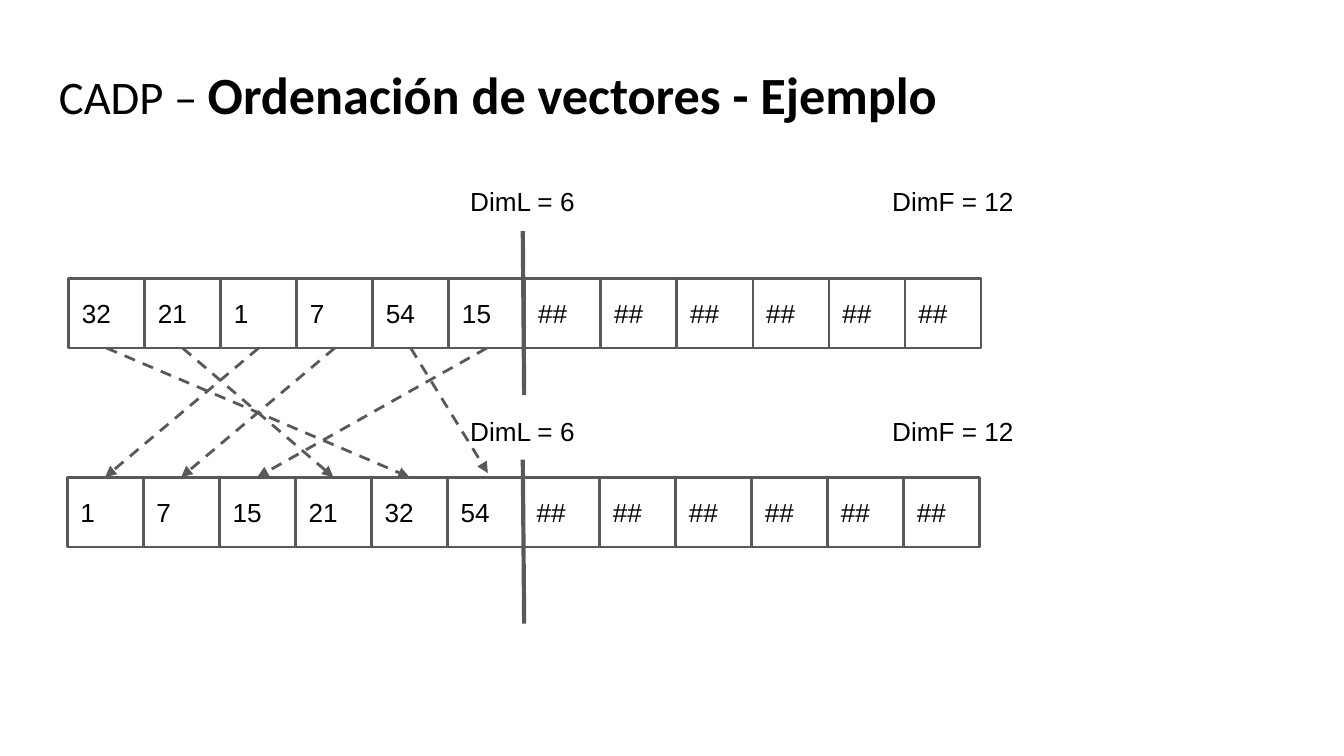
import pptx
import pptx.dml.color
import pptx.enum.dml
import pptx.enum.shapes
import pptx.enum.text
import pptx.oxml
import pptx.oxml.ns
import pptx.util

Inches = pptx.util.Inches
COLORS = {"text": "000000", "line": "595959"}
CELL_COUNT = 12
CELL_WIDTH = 6.79 / CELL_COUNT
CELL_HEIGHT = 0.52

deck = pptx.Presentation()
deck.slide_width = Inches(10)
deck.slide_height = Inches(10 * 9 / 16)
page = deck.slides.add_slide(deck.slide_layouts[6])


def write_text(shape, text, anchor):
    frame = shape.text_frame
    frame.word_wrap = True
    frame.vertical_anchor = anchor
    frame.margin_left = frame.margin_right = Inches(0.1)
    frame.margin_top = frame.margin_bottom = Inches(0.1)
    para = frame.paragraphs[0]
    para.text = text
    para.alignment = pptx.enum.text.PP_ALIGN.LEFT
    para.font.name = "Arial"
    para.font.size = pptx.util.Pt(14)
    para.font.color.rgb = pptx.dml.color.RGBColor.from_string(COLORS["text"])
    return para


def add_line(x1, y1, x2, y2, width):
    line = page.shapes.add_connector(
        pptx.enum.shapes.MSO_CONNECTOR.STRAIGHT,
        Inches(x1), Inches(y1), Inches(x2), Inches(y2))
    line.line.color.rgb = pptx.dml.color.RGBColor.from_string(COLORS["line"])
    line.line.width = pptx.util.Pt(width)
    line._element.spPr.append(pptx.oxml.parse_xml(
        f'<a:effectLst {pptx.oxml.ns.nsdecls("a")}/>'))
    return line


title = page.shapes.add_textbox(Inches(0.34), Inches(0.49), Inches(9.32), Inches(0.63))
para = write_text(title, "", pptx.enum.text.MSO_ANCHOR.TOP)
para.line_spacing = 0.7
para.font.name = "Calibri"
for text, size, bold in [("CADP – ", 25, False), ("Ordenación de vectores - Ejemplo", 28, True)]:
    span = para.add_run()
    span.text = text
    span.font.size = pptx.util.Pt(size)
    span.font.bold = bold

unsorted_values = [32, 21, 1, 7, 54, 15]
sorted_values = sorted(unsorted_values)
vectors = [
    (unsorted_values, 0.51, 2.07, 1.28, 1.72),
    (sorted_values, 0.5, 3.55, 2.99, 3.42),
]
cells = []
for values, left, top, label_top, divider_top in vectors:
    row = []
    for index in range(CELL_COUNT):
        cell = page.shapes.add_shape(
            pptx.enum.shapes.MSO_SHAPE.RECTANGLE,
            Inches(left + index * CELL_WIDTH), Inches(top),
            Inches(CELL_WIDTH), Inches(CELL_HEIGHT))
        cell.shadow.inherit = False
        cell.fill.background()
        cell.line.color.rgb = pptx.dml.color.RGBColor.from_string(COLORS["line"])
        cell.line.width = pptx.util.Pt(1.5)
        text = str(values[index]) if index < len(values) else "##"
        write_text(cell, text, pptx.enum.text.MSO_ANCHOR.MIDDLE)
        row.append(cell)
    cells.append(row)
    for label, label_left in [("DimL = 6", 3.4), ("DimF = 12", 6.54)]:
        box = page.shapes.add_textbox(
            Inches(label_left), Inches(label_top), Inches(1.13), Inches(0.44))
        write_text(box, label, pptx.enum.text.MSO_ANCHOR.TOP)
        box.text_frame.auto_size = pptx.enum.text.MSO_AUTO_SIZE.SHAPE_TO_FIT_TEXT
    add_line(3.9, divider_top + 1.22, 3.89, divider_top, 2.25)

for target, value in enumerate(sorted_values):
    source = unsorted_values.index(value)
    arrow = add_line(0, 0, 3.63, 3.52, 1.5)
    arrow.begin_connect(cells[0][source], 2)
    if value != 54:
        arrow.end_connect(cells[1][target], 0)
    arrow.line.dash_style = pptx.enum.dml.MSO_LINE.DASH
    arrow.line._get_or_add_ln().append(pptx.oxml.parse_xml(
        f'<a:tailEnd {pptx.oxml.ns.nsdecls("a")} type="triangle"/>'))

deck.save("out.pptx")
